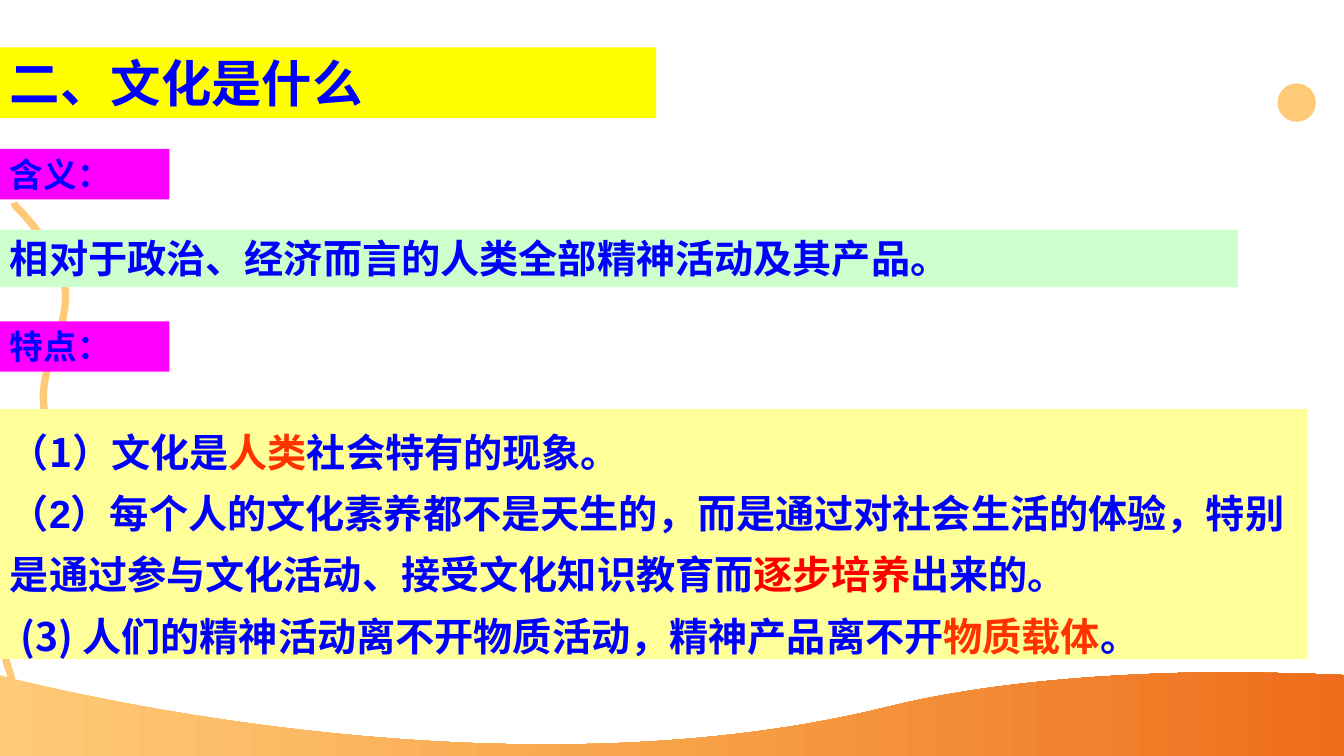
from copy import deepcopy

from lxml.etree import SubElement
from pptx import Presentation
from pptx.dml.color import RGBColor
from pptx.enum.shapes import MSO_SHAPE as Preset
from pptx.enum.text import MSO_ANCHOR as Anchor, PP_ALIGN as Align
from pptx.oxml.ns import qn
from pptx.util import Pt

COLOURS = {
    "blue": "0000FF", "vermilion": "FF3300", "red": "FF0000",
    "yellow": "FFFF00", "magenta": "FF00FF", "mint": "CCFFCC", "cream": "FFFF99",
    "apricot": "FFCA77", "orange": "F8A248", "rust": "EE6D1C",
}
CJK = "Noto Sans CJK SC"
LATIN = "Arial"

WAVE_START = (0, 532.8)
WAVE_CURVES = [
    ((0, 482.4), (0, 482.4), (0, 482.4)),
    ((0, 482.4), (345.6, 576.7), (635, 504.7)),
    ((711.4, 486), (802, 481), (869, 480.2)),
    ((878, 480.2), (887, 480.2), (896, 480.5)),
    ((936, 481), (962.6, 482.4), (962.6, 482.4)),
]
WAVE_BASE = [(962.6, 540), (0, 540)]

THREAD_START = (10.1, 144.7)
THREAD_CURVES = [
    ((10.1, 144.7), (10.1, 146.2), (12.2, 148.3)),
    ((21.6, 157.7), (46.8, 186.5), (46.8, 211)),
    ((46.8, 236.9), (32.4, 256.3), (31, 280.8)),
    ((30.2, 301), (41, 325.4), (41, 349.2)),
    ((41, 360), (36.7, 389.5), (30.2, 403.2)),
    ((23, 419), (5.8, 446.4), (4.3, 463)),
    ((2.9, 473.8), (6.5, 475.9), (7.9, 483.8)),
    ((8.6, 486), (8.6, 487.4), (8.6, 487.4)),
]


def colour(name):
    return RGBColor.from_string(COLOURS[name])


def add_outline(page, start, curves, base=()):
    anchors = [curve[-1] for curve in curves] + list(base)
    builder = page.shapes.build_freeform(*map(Pt, start), scale=1.0)
    builder.add_line_segments([(Pt(x), Pt(y)) for x, y in anchors], close=bool(base))
    outline = builder.convert_to_shape()
    outline.shadow.inherit = False
    lines = list(outline._element.spPr.iter(qn("a:lnTo")))
    for line, curve in zip(lines, curves):
        line.tag = qn("a:cubicBezTo")
        line.remove(line[0])
        for x, y in curve:
            point = SubElement(line, qn("a:pt"))
            point.set("x", str(Pt(x) - outline.left))
            point.set("y", str(Pt(y) - outline.top))
    return outline


def add_wave(page):
    wave = add_outline(page, WAVE_START, WAVE_CURVES, WAVE_BASE)
    wave.line.fill.background()
    wave.fill.gradient()
    wave.fill.gradient_angle = 0
    stops = wave._element.spPr.find(qn("a:gradFill")).find(qn("a:gsLst"))
    stops.insert(1, deepcopy(stops[0]))
    for stop, name, position in zip(stops, ("apricot", "orange", "rust"), (0, 50000, 100000)):
        stop.set("pos", str(position))
        for child in list(stop):
            stop.remove(child)
        SubElement(stop, qn("a:srgbClr")).set("val", COLOURS[name])


def add_thread(page):
    thread = add_outline(page, THREAD_START, THREAD_CURVES)
    thread.fill.background()
    thread.line.color.rgb = colour("apricot")
    thread.line.width = Pt(5.25)


def add_filled(page, preset, place, fill):
    shape = page.shapes.add_shape(preset, *map(Pt, place))
    shape.shadow.inherit = False
    shape.fill.solid()
    shape.fill.fore_color.rgb = colour(fill)
    shape.line.fill.background()
    return shape


def add_span(para, text, size, latin, ink):
    span = para.add_run()
    span.text = text
    for name, value in {"size": Pt(size), "bold": True, "name": latin}.items():
        setattr(span.font, name, value)
    span.font.color.rgb = colour(ink)
    SubElement(span._r.get_or_add_rPr(), qn("a:ea")).set("typeface", CJK)


def add_band(page, place, fill, size, spacing, paragraphs):
    band = add_filled(page, Preset.RECTANGLE, place, fill)
    box = band.text_frame
    frame_format = {
        "word_wrap": True, "vertical_anchor": Anchor.TOP,
        "margin_top": Pt(3.6), "margin_bottom": Pt(3.6),
        "margin_left": Pt(7.2), "margin_right": Pt(7.2),
    }
    for name, value in frame_format.items():
        setattr(box, name, value)
    for index, spans in enumerate(paragraphs):
        para = box.add_paragraph() if index else box.paragraphs[0]
        para.alignment = Align.LEFT
        para.line_spacing = Pt(spacing)
        for text, latin, ink in spans:
            add_span(para, text, size, latin, ink)


def main():
    deck = Presentation()
    deck.slide_width, deck.slide_height = Pt(960), Pt(540)
    page = deck.slides.add_slide(deck.slide_layouts[6])

    add_wave(page)
    add_filled(page, Preset.OVAL, (912.5, 59.6, 27.4, 27.4), "apricot")
    add_thread(page)
    add_filled(page, Preset.OVAL, (-1.4, 445, 15.8, 15.8), "apricot")

    for label, top in (("含义：", 106.4), ("特点：", 229.5)):
        add_band(page, (0, top, 121, 36), "magenta", 24, 28.8, [[(label, LATIN, "blue")]])

    add_band(page, (0, 164.2, 884.2, 41), "mint", 28, 33.6, [
        [("相对于政治、经济而言的人类全部精神活动及其产品。", LATIN, "blue")],
    ])
    add_band(page, (0, 292.3, 933.8, 178.6), "cream", 28, 43.7, [
        [
            ("（1）文化是", CJK, "blue"),
            ("人类", CJK, "vermilion"),
            ("社会特有的现象。", CJK, "blue"),
        ],
        [
            ("（2）每个人的文化素养都不是天生的，而是通过对社会生活的体验，"
             "特别是通过参与文化活动、接受文化知识教育而", LATIN, "blue"),
            ("逐步培养", LATIN, "red"),
            ("出来的。", LATIN, "blue"),
        ],
        [
            (" ", LATIN, "blue"),
            ("(3) 人们的", CJK, "blue"),
            ("精神活动离不开物质活动，精神产品离不开", LATIN, "blue"),
            ("物质载体", LATIN, "vermilion"),
            ("。", LATIN, "blue"),
        ],
    ])
    add_band(page, (0, 33.8, 468.7, 50.4), "yellow", 36, 43.2, [
        [("二、文化是什么", CJK, "blue")],
    ])

    deck.save("out.pptx")


if __name__ == "__main__":
    main()
